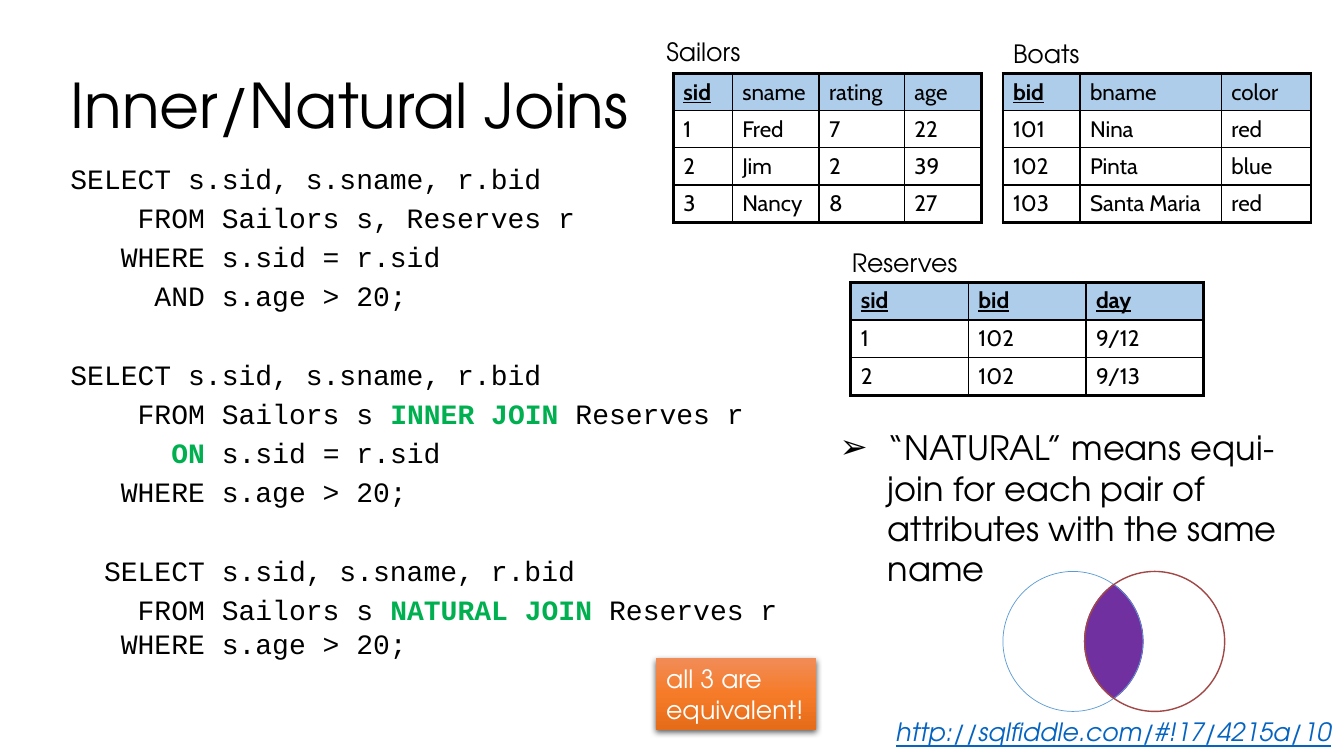
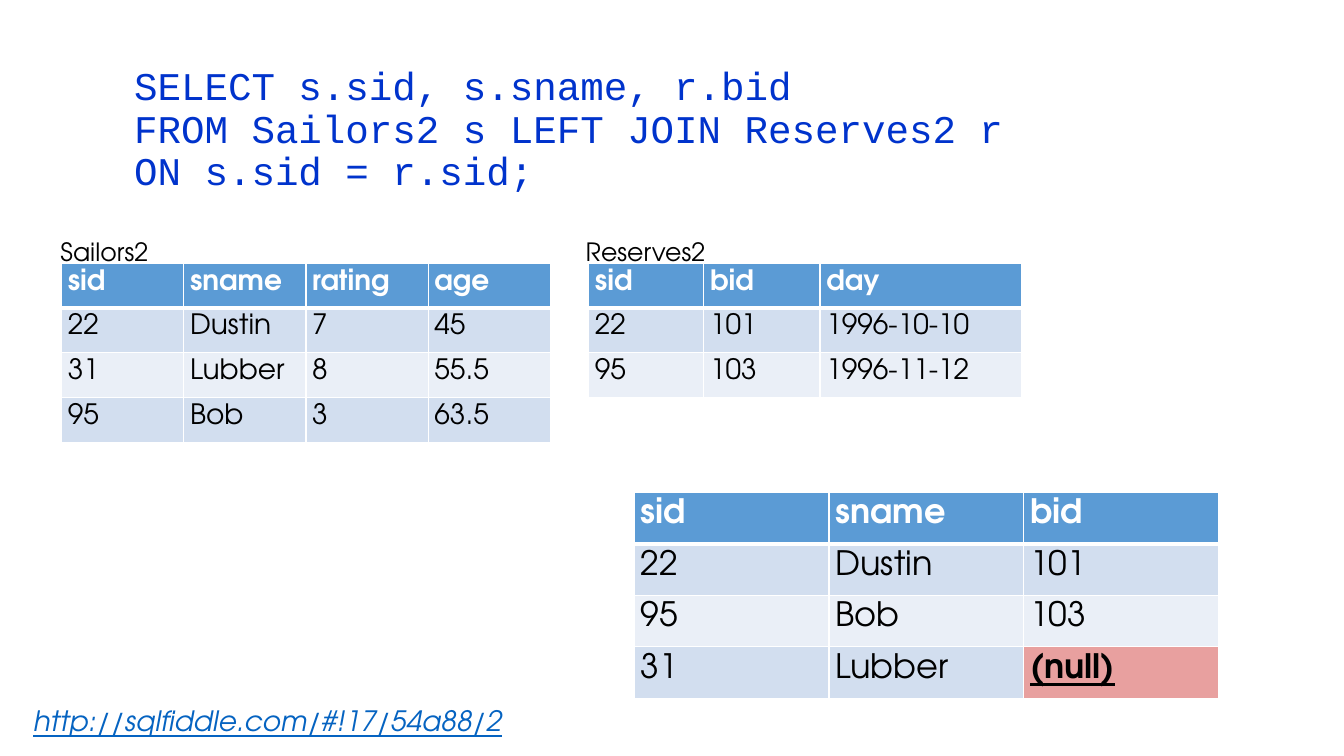
from copy import deepcopy
from dataclasses import dataclass
from math import acos, cos, pi, sin

from lxml.etree import SubElement
from pptx import Presentation
from pptx.dml.color import RGBColor
from pptx.enum.shapes import MSO_SHAPE as Shape
from pptx.enum.text import MSO_ANCHOR as Anchor, MSO_AUTO_SIZE as AutoSize, PP_ALIGN as Align
from pptx.oxml.ns import qn
from pptx.util import Pt


@dataclass(frozen=True)
class Theme:
    sans: str = "TeX Gyre Adventor"
    mono: str = "Courier New"
    cell: str = "Cabin"
    black: str = "000000"
    white: str = "FFFFFF"
    keyword: str = "00B050"
    query: str = "0033CC"
    link: str = "0563C1"
    blue: str = "5B9BD5"
    pale_blue: str = "ADCDEA"
    band_dark: str = "D2DEEF"
    band_light: str = "EAEFF7"
    null: str = "E8A09F"
    overlap: str = "7030A0"
    circle_red: str = "A14846"
    callout: tuple = ("F18C57", "F67B28", "E56C19")
    title_size: int = 44
    query_size: int = 28
    body_size: int = 24
    code_size: int = 20
    label_size: int = 18
    cell_size: int = 16


THEME = Theme()


@dataclass(frozen=True)
class GridLook:
    font: str
    header_fill: str
    header_color: str
    header_bold: bool
    bands: tuple
    line_color: str
    edge: float
    header_rule: float
    margins: tuple


OUTLINED = GridLook(THEME.cell, THEME.pale_blue, THEME.black, False,
                    (THEME.white, THEME.white), THEME.black, 2.25, 1, (7.2, 3.6))
BANDED = GridLook(THEME.sans, THEME.blue, THEME.white, True,
                  (THEME.band_dark, THEME.band_light), THEME.white, 1, 3, (4.5, 4.5))


def rgb(value):
    return RGBColor.from_string(value)


def write(para, text, *, size=THEME.label_size, font=THEME.sans, color=THEME.black,
          bold=False, italic=False, underline=False):
    for index, line in enumerate(text.split("\n")):
        if index:
            para.add_line_break()
            line_break = para._p.findall(qn("a:br"))[-1]
            line_break.insert(0, deepcopy(span._r.rPr))
        span = para.add_run()
        span.text = line
        span.font.name = font
        span.font.size = Pt(size)
        span.font.color.rgb = rgb(color)
        span.font.bold = bold
        span.font.italic = italic
        span.font.underline = underline


def place(box, left, top, width, height):
    box.left, box.top, box.width, box.height = Pt(left), Pt(top), Pt(width), Pt(height)
    box.text_frame.word_wrap = True
    box.text_frame.auto_size = AutoSize.NONE


def add_title(page, text, bounds, **style):
    box = page.shapes.title
    place(box, *bounds)
    box.text_frame.vertical_anchor = Anchor.MIDDLE
    para = box.text_frame.paragraphs[0]
    para.alignment = Align.LEFT
    para.line_spacing = 0.9
    write(para, text, **style)


def add_text(page, text, left, top, width=120, **style):
    box = page.shapes.add_textbox(0, 0, 0, 0)
    place(box, left, top, width, 22)
    frame = box.text_frame
    frame.margin_left = frame.margin_right = frame.margin_top = frame.margin_bottom = 0
    write(frame.paragraphs[0], text, **style)


def add_link(page, address, left, top, width, size):
    add_text(page, address, left, top, width, size=size, color=THEME.link,
             italic=True, underline=True)


def add_code(page, queries, bounds):
    box = page.shapes.add_textbox(0, 0, 0, 0)
    place(box, *bounds)
    frame = box.text_frame
    for number, query in enumerate(queries):
        for index, line in enumerate(query):
            first = number == index == 0
            para = frame.paragraphs[0] if first else frame.add_paragraph()
            para.space_before = Pt(0 if first else 2 if index else 30)
            para.space_after = Pt(2)
            for part, text in enumerate(line.split("|")):
                marked = part % 2 == 1
                write(para, text, size=THEME.code_size, font=THEME.mono, bold=marked,
                      color=THEME.keyword if marked else THEME.black)


def add_bullet(page, text, bounds):
    box = page.placeholders[1]
    place(box, *bounds)
    para = box.text_frame.paragraphs[0]
    props = para._p.get_or_add_pPr()
    props.set("marL", str(Pt(36)))
    props.set("indent", str(Pt(-34.5)))
    tint = SubElement(props, qn("a:buClr"))
    SubElement(tint, qn("a:srgbClr")).set("val", THEME.black)
    SubElement(props, qn("a:buChar")).set("char", "➢")
    para.space_before = Pt(0)
    para.space_after = Pt(2)
    write(para, text, size=THEME.body_size)


def set_borders(cell, color, widths):
    props = cell._tc.get_or_add_tcPr()
    for index, (side, width) in enumerate(zip("LRTB", widths)):
        line = SubElement(props, qn(f"a:ln{side}"))
        line.set("w", str(Pt(width)))
        fill = SubElement(line, qn("a:solidFill"))
        SubElement(fill, qn("a:srgbClr")).set("val", color)
        props.insert(index, line)


def add_grid(page, rows, left, top, columns, row_height, look, size, strong=()):
    last_row, last_column = len(rows) - 1, len(columns) - 1
    table = page.shapes.add_table(len(rows), len(columns), Pt(left), Pt(top),
                                  Pt(sum(columns)), Pt(row_height * len(rows))).table
    table.first_row = table.horz_banding = False
    for column, width in zip(table.columns, columns):
        column.width = Pt(width)
    rules = [look.edge, look.header_rule] + [1] * (last_row - 1) + [look.edge]
    for r, values in enumerate(rows):
        table.rows[r].height = Pt(row_height)
        for c, value in enumerate(values):
            cell = table.cell(r, c)
            cell.margin_left = cell.margin_right = Pt(look.margins[0])
            cell.margin_top = cell.margin_bottom = Pt(look.margins[1])
            cell.fill.solid()
            cell.fill.fore_color.rgb = rgb(look.bands[(r - 1) % 2] if r else look.header_fill)
            set_borders(cell, look.line_color,
                        (1 if c else look.edge, 1 if c < last_column else look.edge,
                         rules[r], rules[r + 1]))
            key = (r, c) in strong
            write(cell.text_frame.paragraphs[0], value, size=size, font=look.font,
                  color=THEME.black if r else look.header_color,
                  bold=key or (r == 0 and look.header_bold), underline=key)
    return table


def add_callout(page, text, left, top, width, height):
    box = page.shapes.add_shape(Shape.RECTANGLE, Pt(left), Pt(top), Pt(width), Pt(height))
    box.fill.gradient()
    box.fill.gradient_angle = 270
    stop_list = box._element.spPr.find(qn("a:gradFill")).find(qn("a:gsLst"))
    stop_list.insert(1, deepcopy(stop_list[0]))
    for stop, color, position in zip(box.fill.gradient_stops, THEME.callout, (0, 0.5, 1)):
        stop.color.rgb = rgb(color)
        stop.position = position
    box.line.fill.background()
    box.shadow.inherit = False
    shadow = SubElement(box._element.spPr.find(qn("a:effectLst")), qn("a:outerShdw"))
    for name, value in (("blurRad", Pt(4.5)), ("dist", Pt(1.5)), ("dir", 5400000)):
        shadow.set(name, str(value))
    tint = SubElement(shadow, qn("a:srgbClr"))
    tint.set("val", THEME.black)
    SubElement(tint, qn("a:alpha")).set("val", "63000")
    box.text_frame.word_wrap = False
    box.text_frame.vertical_anchor = Anchor.MIDDLE
    para = box.text_frame.paragraphs[0]
    para.alignment = Align.LEFT
    write(para, text, color=THEME.white)


def add_venn(page, left, top, diameter, offset):
    group = page.shapes.add_group_shape()
    radius = diameter / 2
    half = acos(offset / diameter)
    middle = top + radius
    steps = 24
    points = []
    for center, heading in ((left + radius, 0), (left + offset + radius, pi)):
        for step in range(steps + 1):
            angle = heading - half + 2 * half * step / steps
            points.append((Pt(center + radius * cos(angle)), Pt(middle + radius * sin(angle))))
    builder = group.shapes.build_freeform(*points[0])
    builder.add_line_segments(points[1:], close=True)
    lens = builder.convert_to_shape()
    lens.fill.solid()
    lens.fill.fore_color.rgb = rgb(THEME.overlap)
    outlines = [(lens, THEME.overlap, 1)]
    for shift, color, weight in ((0, THEME.blue, 0.5), (offset, THEME.circle_red, 1)):
        circle = group.shapes.add_shape(Shape.OVAL, Pt(left + shift), Pt(top),
                                        Pt(diameter), Pt(diameter))
        circle.fill.background()
        outlines.append((circle, color, weight))
    for shape, color, weight in outlines:
        shape.line.color.rgb = rgb(color)
        shape.line.width = Pt(weight)
        shape.shadow.inherit = False


def build_inner_joins(deck):
    page = deck.slides.add_slide(deck.slide_layouts[1])
    add_title(page, "Inner/Natural Joins", (43.2, 25.2, 850, 104.4), size=THEME.title_size)
    add_bullet(page, "“NATURAL” means equi-join for each pair of attributes with the same name",
               (591, 301.5, 338.4, 174))
    add_callout(page, "all 3 are\nequivalent!", 468.7, 470.2, 114.5, 51)
    add_link(page, "http://sqlfiddle.com/#!17/4215a/10", 640, 512, 320, THEME.label_size)
    select = "SELECT s.sid, s.sname, r.bid"
    where = "   WHERE s.age > 20;"
    add_code(page, [
        [select, "    FROM Sailors s, Reserves r", "   WHERE s.sid = r.sid",
         "     AND s.age > 20;"],
        [select, "    FROM Sailors s |INNER JOIN| Reserves r", "      |ON| s.sid = r.sid", where],
        ["  " + select, "    FROM Sailors s |NATURAL JOIN| Reserves r\n" + where],
    ], (43.2, 111.5, 530, 364))
    sailors = [("sid", "sname", "rating", "age"), ("1", "Fred", "7", "22"),
               ("2", "Jim", "2", "39"), ("3", "Nancy", "8", "27")]
    boats = [("bid", "bname", "color"), ("101", "Nina", "red"),
             ("102", "Pinta", "blue"), ("103", "Santa Maria", "red")]
    reserves = [("sid", "bid", "day"), ("1", "102", "9/12"), ("2", "102", "9/13")]
    for rows, left, top, columns, row_height, keys in (
            (sailors, 481, 52.5, (42, 62, 61, 55), 26.5, 1),
            (boats, 716.4, 52.5, (55, 101, 64), 26.5, 1),
            (reserves, 607.7, 201.6, (84, 84, 84), 27, 3)):
        add_grid(page, rows, left, top, columns, row_height, OUTLINED, THEME.cell_size,
                 [(0, column) for column in range(keys)])
    for name, left, top in (("Sailors", 476, 26), ("Boats", 723.6, 27.4),
                            ("Reserves", 608.4, 176.4)):
        add_text(page, name, left, top)
    add_venn(page, 716.4, 408.2, 100, 58.4)


def build_left_join(deck):
    page = deck.slides.add_slide(deck.slide_layouts[5])
    add_title(page, "SELECT s.sid, s.sname, r.bid\nFROM Sailors2 s LEFT JOIN Reserves2 r\n"
              "ON s.sid = r.sid;", (88.6, 48.2, 798, 90),
              size=THEME.query_size, font=THEME.mono, color=THEME.query)
    add_link(page, "http://sqlfiddle.com/#!17/54a88/2", 23.8, 502.6, 346, THEME.code_size)
    result = add_grid(page, [("sid", "sname", "bid"), ("22", "Dustin", "101"),
                             ("95", "Bob", "103"), ("31", "Lubber", "(null)")],
                      453, 352, (139.2,) * 3, 36.7, BANDED, THEME.body_size, [(3, 2)])
    result.cell(3, 2).fill.fore_color.rgb = rgb(THEME.null)
    add_grid(page, [("sid", "sname", "rating", "age"), ("22", "Dustin", "7", "45"),
                    ("31", "Lubber", "8", "55.5"), ("95", "Bob", "3", "63.5")],
             44, 188, (87.3,) * 4, 32, BANDED, THEME.code_size)
    add_grid(page, [("sid", "bid", "day"), ("22", "101", "1996-10-10"),
                    ("95", "103", "1996-11-12")],
             420.5, 188, (82.3, 83, 144.3), 32, BANDED, THEME.code_size)
    for name, left in (("Reserves2", 418.4), ("Sailors2", 43.2)):
        add_text(page, name, left, 168.5)


def main():
    deck = Presentation()
    deck.slide_width, deck.slide_height = Pt(960), Pt(540)
    build_inner_joins(deck)
    build_left_join(deck)
    deck.save("out.pptx")


if __name__ == "__main__":
    main()
